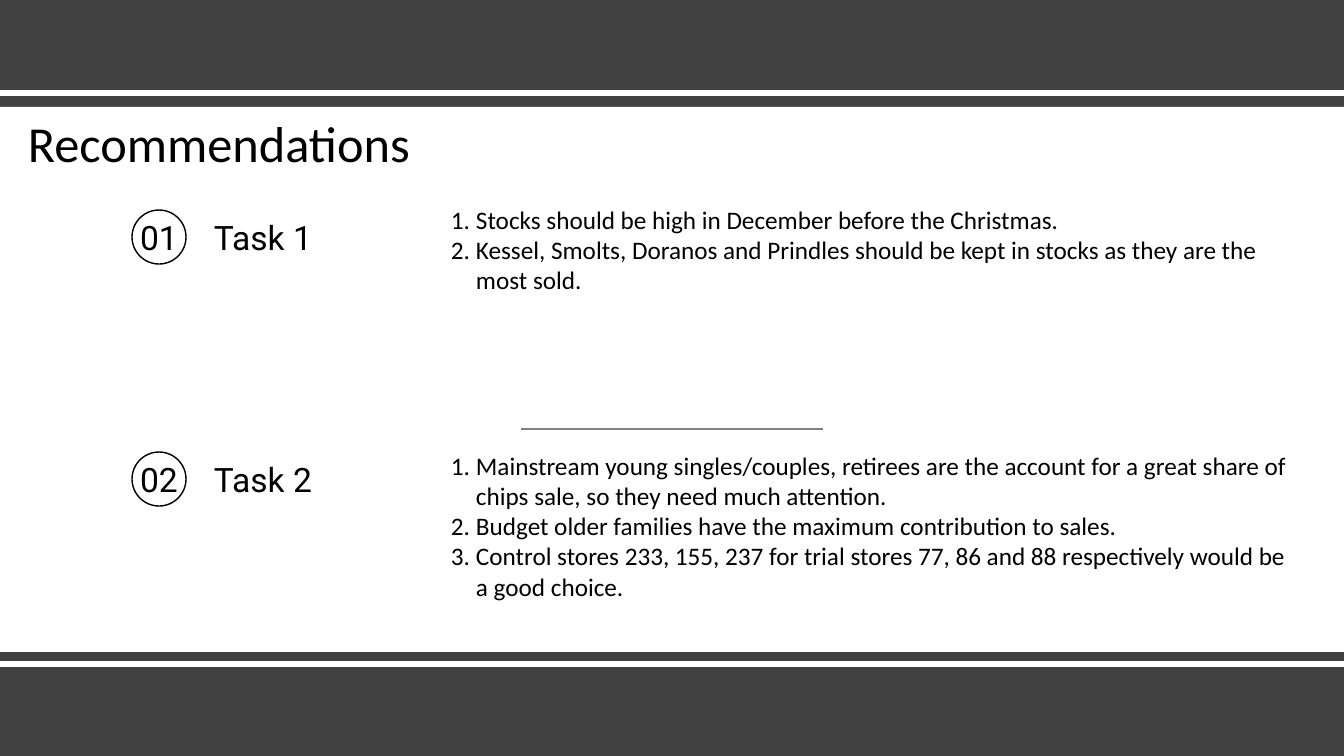
import pptx
import pptx.dml.color
import pptx.enum.shapes
import pptx.enum.text
import pptx.oxml.ns
import pptx.util
from lxml import etree

RGBColor = pptx.dml.color.RGBColor
MSO_SHAPE = pptx.enum.shapes.MSO_SHAPE
MSO_ANCHOR = pptx.enum.text.MSO_ANCHOR
PP_ALIGN = pptx.enum.text.PP_ALIGN

BLACK = RGBColor(0, 0, 0)
WHITE = RGBColor(0xFF, 0xFF, 0xFF)
CHARCOAL = RGBColor(0x40, 0x40, 0x40)
GREY = RGBColor(0x80, 0x80, 0x80)

SLIDE_WIDTH, SLIDE_HEIGHT = 1344, 756
EMU_PER_PX = 12192000 / SLIDE_WIDTH
TWO_CONTENT_LAYOUT = 3

# Number, label, top of the row, rise of the list above that top, list items
TASKS = [
    ("01", "Task 1", 210, 6, [
        "Stocks should be high in December before the Christmas.",
        "Kessel, Smolts, Doranos and Prindles should be kept in stocks as they are the most sold.",
    ]),
    ("02", "Task 2", 452, 2, [
        "Mainstream young singles/couples, retirees are the account for a great share of chips sale, "
        "so they need much attention.",
        "Budget older families have the maximum contribution to sales.",
        "Control stores 233, 155, 237 for trial stores 77, 86 and 88 respectively would be a good choice.",
    ]),
]


def px(length):
    return pptx.util.Emu(round(length * EMU_PER_PX))


def place(shape, left, top, width, height):
    shape.left, shape.top = px(left), px(top)
    shape.width, shape.height = px(width), px(height)


def bring_to_front(slide, shape):
    slide.shapes.element.append(shape.element)


def set_margins(frame, margin=0):
    frame.margin_left = frame.margin_right = px(margin)
    frame.margin_top = frame.margin_bottom = px(margin)


def style(paragraph, font_name, size):
    paragraph.font.name = font_name
    paragraph.font.size = pptx.util.Pt(size)
    paragraph.font.color.rgb = BLACK


def add_filled(slide, preset, color, left, top, width, height):
    shape = slide.shapes.add_shape(preset, px(left), px(top), px(width), px(height))
    shape.shadow.inherit = False
    shape.fill.solid()
    shape.fill.fore_color.rgb = color
    shape.line.fill.background()
    return shape


def add_rule(slide, left, y, width, color, weight):
    rule = slide.shapes.add_connector(
        pptx.enum.shapes.MSO_CONNECTOR.STRAIGHT, px(left), px(y), px(left + width), px(y))
    rule.line.color.rgb = color
    rule.line.width = pptx.util.Pt(weight)
    etree.SubElement(rule.element.spPr, pptx.oxml.ns.qn("a:effectLst"))


def number_paragraph(paragraph, indent):
    """Give the paragraph a hanging 1., 2., 3. number."""
    properties = paragraph._p.get_or_add_pPr()
    properties.set("marL", str(px(indent)))
    properties.set("indent", str(-px(indent)))
    etree.SubElement(properties, pptx.oxml.ns.qn("a:buFont"), typeface="Calibri")
    etree.SubElement(properties, pptx.oxml.ns.qn("a:buAutoNum"), type="arabicPeriod")


def add_frame(slide):
    """Dark bands with white rules around a white panel."""
    add_filled(slide, MSO_SHAPE.RECTANGLE, CHARCOAL, 0, 0, SLIDE_WIDTH, SLIDE_HEIGHT)
    add_filled(slide, MSO_SHAPE.RECTANGLE, WHITE, 0, 107, SLIDE_WIDTH, 545)
    for y in (93, 664):
        add_rule(slide, 0, y, SLIDE_WIDTH, WHITE, 4)


def fill_title(slide, text, left, top, width, height):
    title = slide.shapes.title
    bring_to_front(slide, title)
    place(title, left, top, width, height)
    frame = title.text_frame
    frame.text = text
    frame.auto_size = pptx.enum.text.MSO_AUTO_SIZE.NONE
    frame.vertical_anchor = MSO_ANCHOR.TOP
    set_margins(frame, 2)
    heading = frame.paragraphs[0]
    heading.alignment = PP_ALIGN.CENTER
    heading.line_spacing = 0.9
    style(heading, "Calibri", 36)


def add_badge(slide, number, left, top, diameter):
    badge = add_filled(slide, MSO_SHAPE.OVAL, WHITE, left, top, diameter, diameter)
    badge.line.color.rgb = BLACK
    badge.line.width = pptx.util.Pt(1)
    frame = badge.text_frame
    frame.text = number
    frame.word_wrap = False
    frame.vertical_anchor = MSO_ANCHOR.MIDDLE
    frame.paragraphs[0].alignment = PP_ALIGN.CENTER
    style(frame.paragraphs[0], "Roboto", 24)


def add_label(slide, text, left, top, width, height):
    label = slide.shapes.add_textbox(px(left), px(top), px(width), px(height))
    frame = label.text_frame
    frame.text = text
    frame.word_wrap = True
    set_margins(frame)
    style(frame.paragraphs[0], "Roboto", 24)


def fill_list(slide, body, items, left, top, width, height):
    bring_to_front(slide, body)
    place(body, left, top, width, height)
    frame = body.text_frame
    frame.text = "\n".join(items)
    frame.auto_size = pptx.enum.text.MSO_AUTO_SIZE.NONE
    frame.vertical_anchor = MSO_ANCHOR.TOP
    set_margins(frame)
    for item in frame.paragraphs:
        item.space_before = pptx.util.Pt(0)
        number_paragraph(item, 25)
        style(item, "Calibri", 18)


def add_task(slide, body, task, left):
    number, label, top, list_rise, items = task
    add_badge(slide, number, left, top, 54)
    add_label(slide, label, left + 82, top + 7, 209, 190)
    fill_list(slide, body, items, left + 319, top - list_rise, 836, 190)


def main():
    deck = pptx.Presentation()
    deck.slide_width, deck.slide_height = px(SLIDE_WIDTH), px(SLIDE_HEIGHT)
    slide = deck.slides.add_slide(deck.slide_layouts[TWO_CONTENT_LAYOUT])
    add_frame(slide)
    fill_title(slide, "Recommendations", -40, 117, 518, 160)
    add_rule(slide, 521, 429, 302, GREY, 1.5)
    bodies = [slide.placeholders[1], slide.placeholders[2]]
    for body, task in zip(bodies, TASKS):
        add_task(slide, body, task, 132)
    deck.save("out.pptx")


if __name__ == "__main__":
    main()
